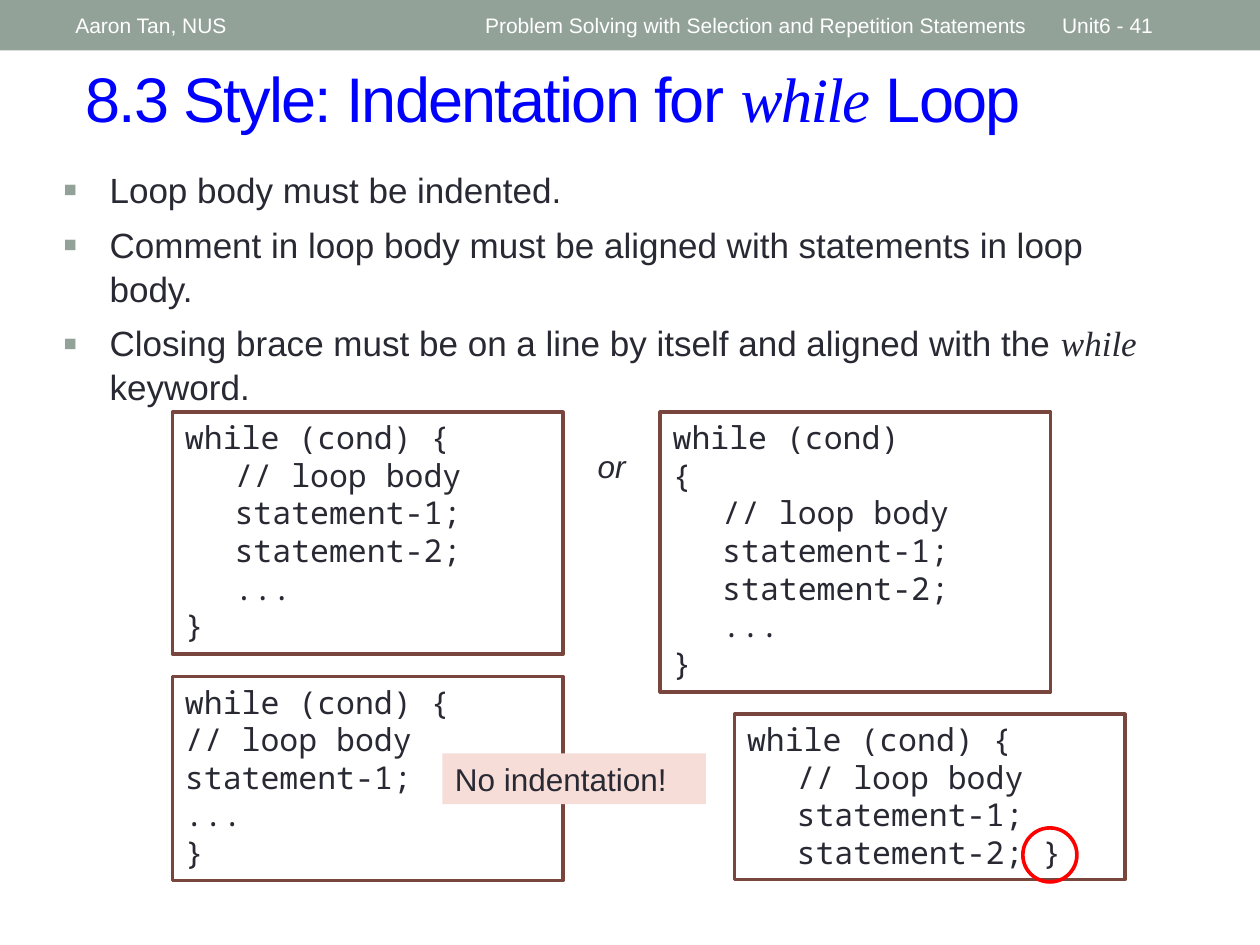
"""Build the slide on indentation style for the while loop."""
import pptx
import pptx.dml.color
import pptx.enum.shapes
import pptx.enum.text
import pptx.oxml
import pptx.util
from pptx.util import Cm

COLOURS = {"band": "93A299", "white": "FFFFFF", "title": "0000FF", "text": "292934",
           "frame": "79463D", "note": "F6DDD8", "mark": "FF0000"}
SHAPES = pptx.enum.shapes.MSO_SHAPE
NS = 'xmlns:a="http://schemas.openxmlformats.org/drawingml/2006/main"'


def add_block(shape_type, place, fill=None, line=None):
    """Add a preset shape, or a text box when shape_type is None."""
    lengths = [Cm(value) for value in place]
    if shape_type is None:
        block = slide.shapes.add_textbox(*lengths)
    else:
        block = slide.shapes.add_shape(shape_type, *lengths)
        block.shadow.inherit = False
        if fill:
            block.fill.solid()
            block.fill.fore_color.rgb = pptx.dml.color.RGBColor.from_string(COLOURS[fill])
        else:
            block.fill.background()
        if line:
            block.line.color.rgb = pptx.dml.color.RGBColor.from_string(COLOURS[line])
            block.line.width = pptx.util.Pt(2.08)
        else:
            block.line.fill.background()
    block.text_frame.word_wrap = True
    block.text_frame.vertical_anchor = pptx.enum.text.MSO_ANCHOR.TOP
    return block


def write(block, paragraphs, size, colour="text", font="Arial", elements=()):
    """Write paragraphs given as lists of (text, is_keyword) runs."""
    frame = block.text_frame
    for index, runs in enumerate(paragraphs):
        paragraph = frame.add_paragraph() if index else frame.paragraphs[0]
        paragraph.alignment = pptx.enum.text.PP_ALIGN.LEFT
        for element in elements:
            paragraph._p.get_or_add_pPr().append(pptx.oxml.parse_xml(element))
        for text, is_keyword in runs:
            run = paragraph.add_run()
            run.text = text
            run.font.size = pptx.util.Pt(size)
            run.font.name = "Times New Roman" if is_keyword else font
            run.font.italic = is_keyword
            run.font.color.rgb = pptx.dml.color.RGBColor.from_string(COLOURS[colour])
    return frame.paragraphs


deck = pptx.Presentation()
deck.slide_width, deck.slide_height = Cm(25.4), Cm(19.05)
slide = deck.slides.add_slide(deck.slide_layouts[6])

add_block(SHAPES.RECTANGLE, (0, 0, 25.4, 1.02), "band")
for left, width, label in [
    (1.27, 8.05, "Aaron Tan, NUS"),
    (9.53, 11.43, "Problem Solving with Selection and Repetition Statements"),
    (21.16, 2.97, "Unit6 - 41"),
]:
    header = add_block(None, (left, 0.05, width, 0.91))
    header.text_frame.vertical_anchor = pptx.enum.text.MSO_ANCHOR.MIDDLE
    write(header, [[(label, False)]], 12, "white")

title = add_block(None, (1.47, 1.07, 23.29, 2.34))
heading = [("8.3 Style: Indentation for ", False), ("while", True), (" Loop", False)]
for run in write(title, [heading], 36, "title")[0].runs:
    run.font._element.set("spc", "-100")

rules = add_block(None, (1.02, 3.23, 22.66, 5.08))
bullet = [
    f'<a:buClr {NS}><a:srgbClr val="{COLOURS["band"]}"/></a:buClr>',
    f'<a:buSzPct {NS} val="120000"/>',
    f'<a:buFont {NS} typeface="Arial"/>',
    f'<a:buChar {NS} char="▪"/>',
]
rule_texts = [
    [("Loop body must be indented.", False)],
    [("Comment in loop body must be aligned with statements in loop body.", False)],
    [("Closing brace must be on a line by itself and aligned with the ", False),
     ("while", True), (" keyword.", False)],
]
for index, rule in enumerate(write(rules, rule_texts, 20, elements=bullet)):
    rule.line_spacing = 1.05
    rule.space_before = pptx.util.Pt(6 if index else 0)
    rule._p.pPr.set("marL", str(Cm(0.94)))
    rule._p.pPr.set("indent", str(Cm(-0.94)))

tabs = (f'<a:tabLst {NS}><a:tab pos="{Cm(1)}" algn="l"/>'
        f'<a:tab pos="{Cm(2)}" algn="l"/></a:tabLst>')
for left, top, height, code in [
    (3.48, 8.31, 4.88, ["while (cond) {", "\t// loop body", "\tstatement-1;",
                        "\tstatement-2;", "\t...", "}"]),
    (13.31, 8.31, 5.64, ["while (cond)", "{", "\t// loop body", "\tstatement-1;",
                         "\tstatement-2;", "\t...", "}"]),
    (3.48, 13.64, 4.11, ["while (cond) {", "// loop body", "statement-1;", "...", "}"]),
    (14.81, 14.4, 3.33, ["while (cond) {", "\t// loop body", "\tstatement-1;",
                         "\tstatement-2; }"]),
]:
    example = add_block(SHAPES.RECTANGLE, (left, top, 7.87, height), "white", "frame")
    lines = [[(line, False)] for line in code]
    for statement in write(example, lines, 18, font="Noto Sans Mono", elements=[tabs]):
        statement.line_spacing = pptx.util.Pt(21.5)

alternative = add_block(None, (11.35, 8.89, 1.96, 1.02))
choice = write(alternative, [[("or", False)]], 18)[0]
choice.alignment = pptx.enum.text.PP_ALIGN.CENTER
choice.runs[0].font.italic = True

warning = add_block(SHAPES.RECTANGLE, (8.92, 15.19, 5.31, 1.02), "note")
write(warning, [[("No indentation!", False)]], 18)

add_block(SHAPES.OVAL, (20.62, 16.69, 1.09, 1.09), line="mark")

deck.save("out.pptx")
